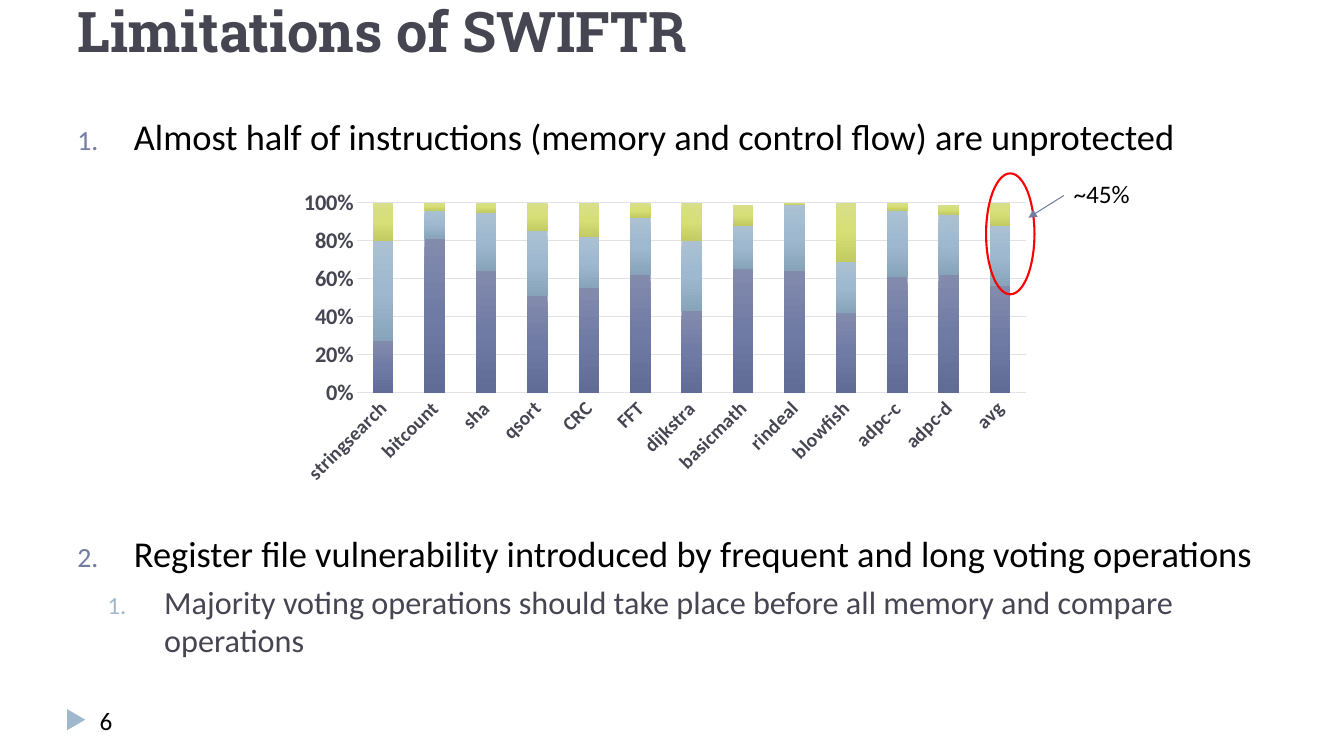
from dataclasses import dataclass

from pptx import Presentation
from pptx.chart.data import CategoryChartData
from pptx.dml.color import RGBColor
from pptx.enum.chart import XL_CHART_TYPE, XL_TICK_MARK
from pptx.enum.shapes import MSO_CONNECTOR, MSO_SHAPE
from pptx.enum.text import MSO_ANCHOR
from pptx.oxml import parse_xml
from pptx.oxml.ns import nsdecls, qn
from pptx.oxml.xmlchemy import OxmlElement
from pptx.util import Inches, Pt

COLORS = {
    "ink": "464653",
    "black": "000000",
    "indigo": "727CA3",
    "sky": "9FB8CD",
    "grid": "E2E2E6",
    "red": "FF0000",
}


@dataclass
class TextLabel:
    text: str
    box: tuple[float, float, float, float]
    size: float
    color: str = "black"
    font: str = "Calibri"
    bold: bool = False
    anchor: MSO_ANCHOR = MSO_ANCHOR.TOP


@dataclass
class ListItem:
    text: str
    level: int
    indent: float
    space_before: float
    size: float
    color: str
    number_color: str


@dataclass
class BarLayer:
    shares: list[float]
    gradient: tuple[str, str, str]


LABELS = [
    TextLabel("Limitations of SWIFTR", (0.67, -0.4, 12, 1.08), 40, "ink",
              "Roboto Slab", True, MSO_ANCHOR.BOTTOM),
    TextLabel("6", (0.89, 6.95, 1.88, 0.4), 18),
    TextLabel("~45%", (10.55, 1.72, 0.91, 0.44), 18),
]

# The large space before the second item leaves room for the chart
LIMITATIONS = [
    ListItem("Almost half of instructions (memory and control flow) are unprotected",
             0, 0.56, 0, 26, "black", "indigo"),
    ListItem("Register file vulnerability introduced by frequent and long voting operations",
             0, 0.56, 267, 26, "black", "indigo"),
    ListItem("Majority voting operations should take place before all memory and compare operations",
             1, 0.86, 5, 23, "ink", "sky"),
]

BENCHMARKS = ["stringsearch", "bitcount", "sha", "qsort", "CRC", "FFT", "dijkstra",
              "basicmath", "rindeal", "blowfish", "adpc-c", "adpc-d", "avg"]

# Bar layers from bottom to top
BAR_LAYERS = [
    BarLayer([0.27, 0.81, 0.64, 0.51, 0.55, 0.62, 0.43, 0.65, 0.64, 0.42, 0.61, 0.62, 0.56],
             ("838BAD", "707BA5", "606B96")),
    BarLayer([0.53, 0.15, 0.31, 0.34, 0.27, 0.3, 0.37, 0.23, 0.35, 0.27, 0.35, 0.32, 0.32],
             ("ABC1D3", "9DB8CF", "88A4BB")),
    BarLayer([0.2, 0.04, 0.05, 0.15, 0.18, 0.09, 0.2, 0.11, 0.01, 0.31, 0.04, 0.05, 0.12],
             ("D8DF8A", "D6DF75", "C3CC62")),
]


def rgb(name: str) -> RGBColor:
    return RGBColor.from_string(COLORS[name])


def inches(values: tuple[float, ...]) -> list[Inches]:
    return [Inches(value) for value in values]


def style_font(font, size: float, color: str, name: str = "Calibri", bold: bool = False) -> None:
    font.name, font.size, font.bold = name, Pt(size), bold
    font.color.rgb = rgb(color)


def style_line(line, color: str, width: float) -> None:
    line.color.rgb = rgb(color)
    line.width = Pt(width)


def add_label(slide, label: TextLabel) -> None:
    text_frame = slide.shapes.add_textbox(*inches(label.box)).text_frame
    text_frame.word_wrap = True
    text_frame.vertical_anchor = label.anchor
    text_frame.text = label.text
    style_font(text_frame.paragraphs[0].runs[0].font, label.size, label.color,
               label.font, label.bold)


def number_paragraph(paragraph, item: ListItem) -> None:
    properties = paragraph._p.get_or_add_pPr()
    properties.set("marL", str(Inches(item.indent)))
    properties.set("indent", str(-Inches(0.56)))
    color = OxmlElement("a:buClr")
    color.append(OxmlElement("a:srgbClr"))
    color[0].set("val", COLORS[item.number_color])
    size = OxmlElement("a:buSzPct")
    size.set("val", "76000")
    number = OxmlElement("a:buAutoNum")
    number.set("type", "arabicPeriod")
    properties.extend([color, size, number])


def add_numbered_list(slide, items: list[ListItem]) -> None:
    text_frame = slide.shapes.add_textbox(*inches((0.67, 1.08, 12.42, 5.65))).text_frame
    text_frame.word_wrap = True
    for index, item in enumerate(items):
        paragraph = text_frame.add_paragraph() if index else text_frame.paragraphs[0]
        paragraph.text = item.text
        paragraph.level = item.level
        number_paragraph(paragraph, item)
        paragraph.space_before = Pt(item.space_before)
        style_font(paragraph.runs[0].font, item.size, item.color)


def fill_gradient(series, colors: tuple[str, str, str]) -> None:
    stops = "".join(f'<a:gs pos="{index * 50000}"><a:srgbClr val="{color}"/></a:gs>'
                    for index, color in enumerate(colors))
    series._element.get_or_add_spPr().insert(0, parse_xml(
        f'<a:gradFill {nsdecls("a")}><a:gsLst>{stops}</a:gsLst>'
        '<a:lin ang="5400000" scaled="0"/></a:gradFill>'))


def place_plot_area(chart, left: float, top: float, width: float, height: float) -> None:
    bounds = "".join(f'<c:{key} val="{value}"/>' for key, value in
                     zip("xywh", (left, top, width, height)))
    chart._chartSpace.chart.plotArea.insert(0, parse_xml(
        f'<c:layout {nsdecls("c")}><c:manualLayout><c:layoutTarget val="inner"/>'
        f'<c:xMode val="edge"/><c:yMode val="edge"/>{bounds}</c:manualLayout></c:layout>'))


def add_instruction_chart(slide) -> None:
    data = CategoryChartData(number_format="0%")
    data.categories = BENCHMARKS
    for layer in BAR_LAYERS:
        data.add_series("", layer.shares)
    chart = slide.shapes.add_chart(XL_CHART_TYPE.COLUMN_STACKED,
                                   *inches((2.92, 1.09, 7.45, 4.08)), data).chart
    chart.has_title = False
    chart.has_legend = False
    style_font(chart.font, 10, "black")
    place_plot_area(chart, 0.084, 0.226, 0.89, 0.462)

    plot = chart.plots[0]
    plot.gap_width, plot.overlap = 150, 100
    plot.vary_by_categories = False
    for series, layer in zip(plot.series, BAR_LAYERS):
        fill_gradient(series, layer.gradient)

    # Axes
    for axis, size in ((chart.category_axis, 14), (chart.value_axis, 16)):
        axis.major_tick_mark = axis.minor_tick_mark = XL_TICK_MARK.NONE
        style_font(axis.tick_labels.font, size, "ink", bold=True)
    style_line(chart.category_axis.format.line, "grid", 0.75)
    chart.category_axis._element.find(qn("c:txPr")).find(qn("a:bodyPr")).set("rot", "-2700000")
    value_axis = chart.value_axis
    value_axis.minimum_scale, value_axis.maximum_scale, value_axis.major_unit = 0, 1, 0.2
    value_axis.tick_labels.number_format = "0%"
    value_axis.tick_labels.number_format_is_linked = False
    value_axis.format.line.fill.background()
    style_line(value_axis.major_gridlines.format.line, "grid", 0.75)


def add_average_callout(slide) -> None:
    ellipse = slide.shapes.add_shape(MSO_SHAPE.OVAL, *inches((9.78, 1.72, 0.48, 1.2)))
    ellipse.shadow.inherit = False
    ellipse.fill.background()
    style_line(ellipse.line, "red", 1.5)
    arrow = slide.shapes.add_connector(MSO_CONNECTOR.STRAIGHT, *inches((10.55, 1.94, 10.2, 2.16)))
    style_line(arrow.line, "indigo", 0.75)
    arrowhead = OxmlElement("a:tailEnd")
    arrowhead.set("type", "triangle")
    arrow.line._get_or_add_ln().append(arrowhead)
    arrow._element.spPr.append(OxmlElement("a:effectLst"))


def add_page_marker(slide) -> None:
    marker = slide.shapes.add_shape(MSO_SHAPE.ISOSCELES_TRIANGLE, *inches((0.65, 7.05, 0.21, 0.18)))
    marker.rotation = 90
    marker.shadow.inherit = False
    marker.fill.solid()
    marker.fill.fore_color.rgb = rgb("sky")
    marker.line.fill.background()


def main() -> None:
    presentation = Presentation()
    presentation.slide_width, presentation.slide_height = inches((13.33, 7.5))
    slide = presentation.slides.add_slide(presentation.slide_layouts[6])
    add_page_marker(slide)
    add_numbered_list(slide, LIMITATIONS)
    add_instruction_chart(slide)
    add_average_callout(slide)
    for label in LABELS:
        add_label(slide, label)
    presentation.save("out.pptx")


if __name__ == "__main__":
    main()
